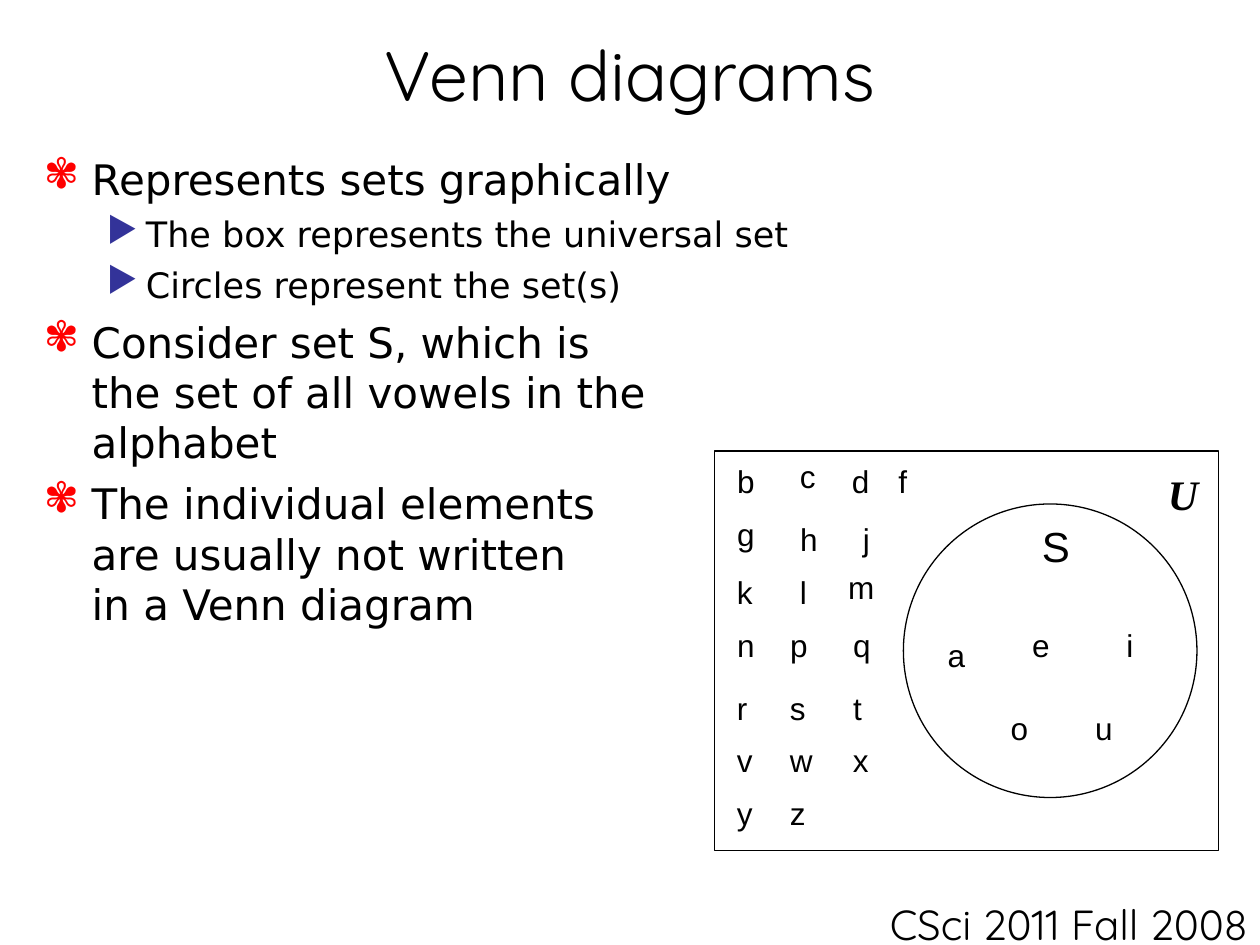
from lxml import etree
from pptx import Presentation
from pptx import util as u
from pptx.dml.color import RGBColor
from pptx.enum import shapes, text
from pptx.oxml import ns

Inches = u.Inches
BLACK = RGBColor(0x00, 0x00, 0x00)
RED = RGBColor(0xFF, 0x00, 0x00)
NAVY = RGBColor(0x33, 0x33, 0x99)

# Per outline level: size, space before, left margin, indent, bullet, bullet colour
LEVELS = [
    (24, 6, 0.38, -0.38, "✾", RED),
    (20, 5, 0.81, -0.31, "▶", NAVY),
]

OUTLINE = [
    (0, "Represents sets graphically"),
    (1, "The box represents the universal set"),
    (1, "Circles represent the set(s)"),
    (0, "Consider set S, which is \vthe set of all vowels in the\valphabet"),
    (0, "The individual elements \vare usually not written \vin a Venn diagram"),
]

# Letters with the left and top of their boxes
VOWELS = [("a", 7.42, 5), ("e", 8.09, 4.92), ("i", 8.84, 4.92),
          ("o", 7.92, 5.58), ("u", 8.59, 5.58)]
CONSONANTS = [
    ("b", 5.75, 3.62), ("c", 6.25, 3.58), ("d", 6.66, 3.62), ("f", 7.03, 3.62),
    ("g", 5.75, 4.04), ("h", 6.25, 4.08), ("j", 6.75, 4.08),
    ("k", 5.75, 4.5), ("l", 6.25, 4.5), ("m", 6.63, 4.46),
]
LOWER_ROWS = [(4.92, "npq"), (5.42, "rst"), (5.83, "vwx"), (6.25, "yz")]
LOWER_COLUMNS = [5.75, 6.17, 6.67]
CONSONANTS += [(letter, left, top) for top, row in LOWER_ROWS
               for letter, left in zip(row, LOWER_COLUMNS)]

BOX_WIDTHS = {"ijl": 0.25, "ft": 0.27, "r": 0.28, "cksvxyz": 0.32,
              "abdeghnopqu": 0.34, "w": 0.38, "m": 0.41}
LETTER_WIDTH = {letter: width for letters, width in BOX_WIDTHS.items()
                for letter in letters}


class SlideBuilder:
    heading_font = "Quicksand"
    body_font = "DejaVu Sans"
    label_font = "Arial"
    line_width = u.Pt(0.75)

    def __init__(self, slide):
        self.slide = slide

    def style(self, paragraph, size, font_name):
        paragraph.font.size = u.Pt(size)
        paragraph.font.name = font_name
        paragraph.font.color.rgb = BLACK

    def frame(self, left, top, width, height):
        box = self.slide.shapes.add_textbox(
            Inches(left), Inches(top), Inches(width), Inches(height))
        box.text_frame.word_wrap = True
        return box.text_frame

    def heading(self, content, box, size, alignment, anchor):
        frame = self.frame(*box)
        frame.vertical_anchor = anchor
        paragraph = frame.paragraphs[0]
        paragraph.text = content
        paragraph.alignment = alignment
        self.style(paragraph, size, self.heading_font)

    def bullet(self, paragraph, character, color):
        properties = paragraph._p.get_or_add_pPr()
        color_element = etree.SubElement(properties, ns.qn("a:buClr"))
        etree.SubElement(color_element, ns.qn("a:srgbClr"), val=str(color))
        etree.SubElement(properties, ns.qn("a:buChar"), char=character)

    def outline(self, items, box):
        frame = self.frame(*box)
        for index, (level, content) in enumerate(items):
            size, space, margin, indent, character, color = LEVELS[level]
            paragraph = frame.add_paragraph() if index else frame.paragraphs[0]
            paragraph.text = content
            paragraph.level = level
            properties = paragraph._p.get_or_add_pPr()
            properties.set("marL", str(Inches(margin)))
            properties.set("indent", str(Inches(indent)))
            self.bullet(paragraph, character, color)
            if index:
                paragraph.space_before = u.Pt(space)
            self.style(paragraph, size, self.body_font)

    def label(self, content, box, size=18, font_name=label_font):
        """Add a centred, unwrapped label and return its paragraph."""
        frame = self.frame(*box)
        frame.word_wrap = False
        frame.auto_size = text.MSO_AUTO_SIZE.SHAPE_TO_FIT_TEXT
        paragraph = frame.paragraphs[0]
        paragraph.text = content
        paragraph.alignment = text.PP_ALIGN.CENTER
        self.style(paragraph, size, font_name)
        return paragraph

    def outlined_shape(self, kind, left, top, width, height):
        shape = self.slide.shapes.add_shape(
            kind, Inches(left), Inches(top), Inches(width), Inches(height))
        shape.shadow.inherit = False
        shape.fill.background()
        shape.line.color.rgb = BLACK
        shape.line.width = self.line_width


def main():
    presentation = Presentation()
    presentation.slide_width = Inches(10)
    presentation.slide_height = Inches(7.5)
    builder = SlideBuilder(
        presentation.slides.add_slide(presentation.slide_layouts[6]))

    builder.heading("CSci 2011 Fall 2008", (6.58, 7.08, 3.42, 0.42), 24,
                    text.PP_ALIGN.RIGHT, text.MSO_ANCHOR.TOP)
    builder.heading("Venn diagrams", (0.25, 0.17, 9.5, 0.83), 40,
                    text.PP_ALIGN.CENTER, text.MSO_ANCHOR.MIDDLE)
    builder.outline(OUTLINE, (0.25, 1.17, 9.5, 5.61))

    for letter, left, top in VOWELS + CONSONANTS:
        builder.label(letter, (left, top, LETTER_WIDTH[letter], 0.4))

    builder.outlined_shape(shapes.MSO_SHAPE.RECTANGLE, 5.67, 3.58, 4, 3.17)
    universe = builder.label("U", (9.17, 3.67, 0.44, 0.5), 24, "Times New Roman")
    universe.font.bold = True
    universe.font.italic = True
    builder.outlined_shape(shapes.MSO_SHAPE.OVAL, 7.17, 4, 2.33, 2.33)
    builder.label("S", (8.17, 4.08, 0.42, 0.5), 24)

    presentation.save("out.pptx")


if __name__ == "__main__":
    main()
